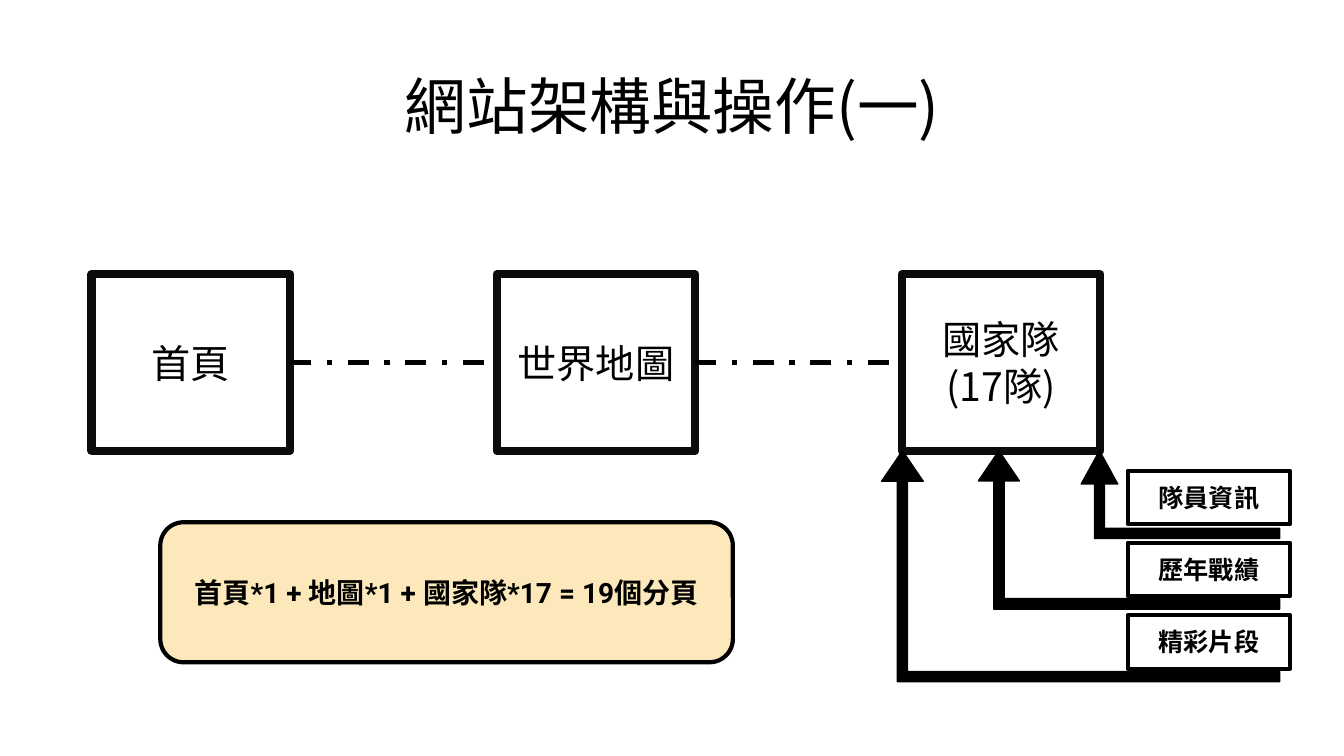
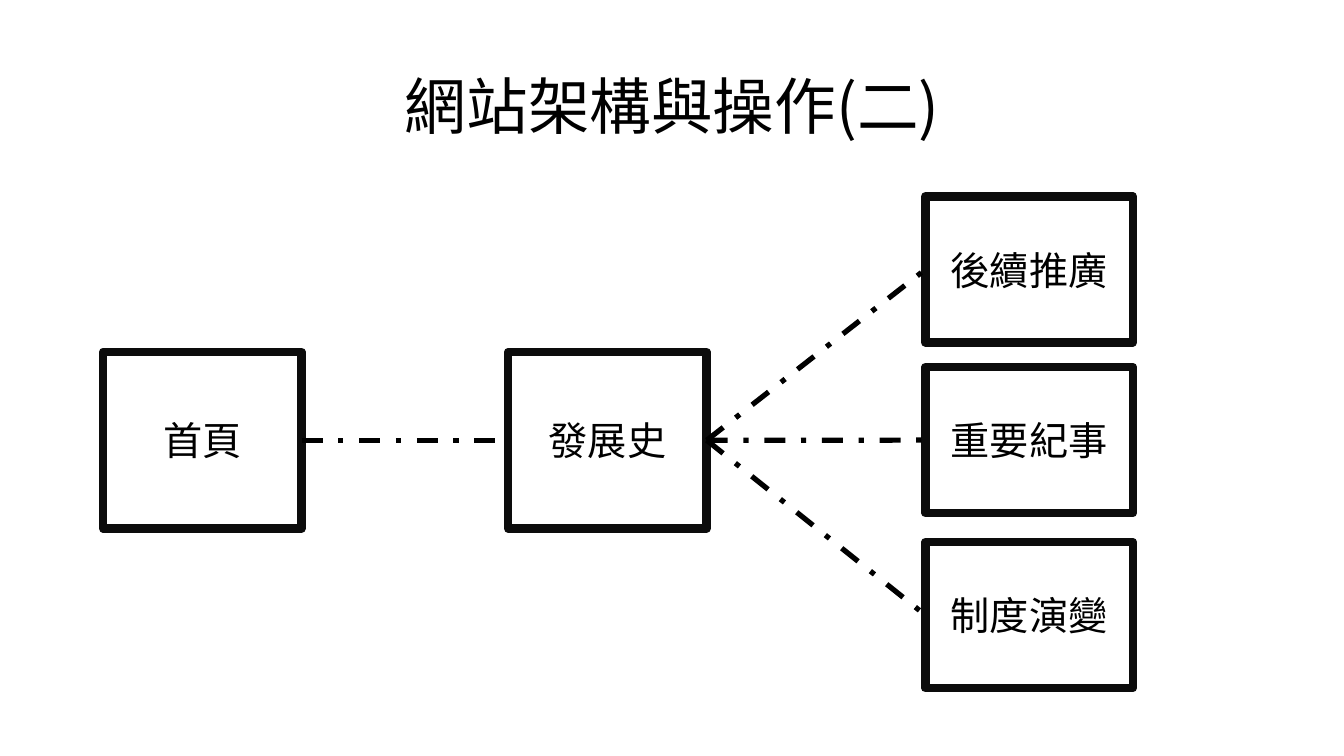
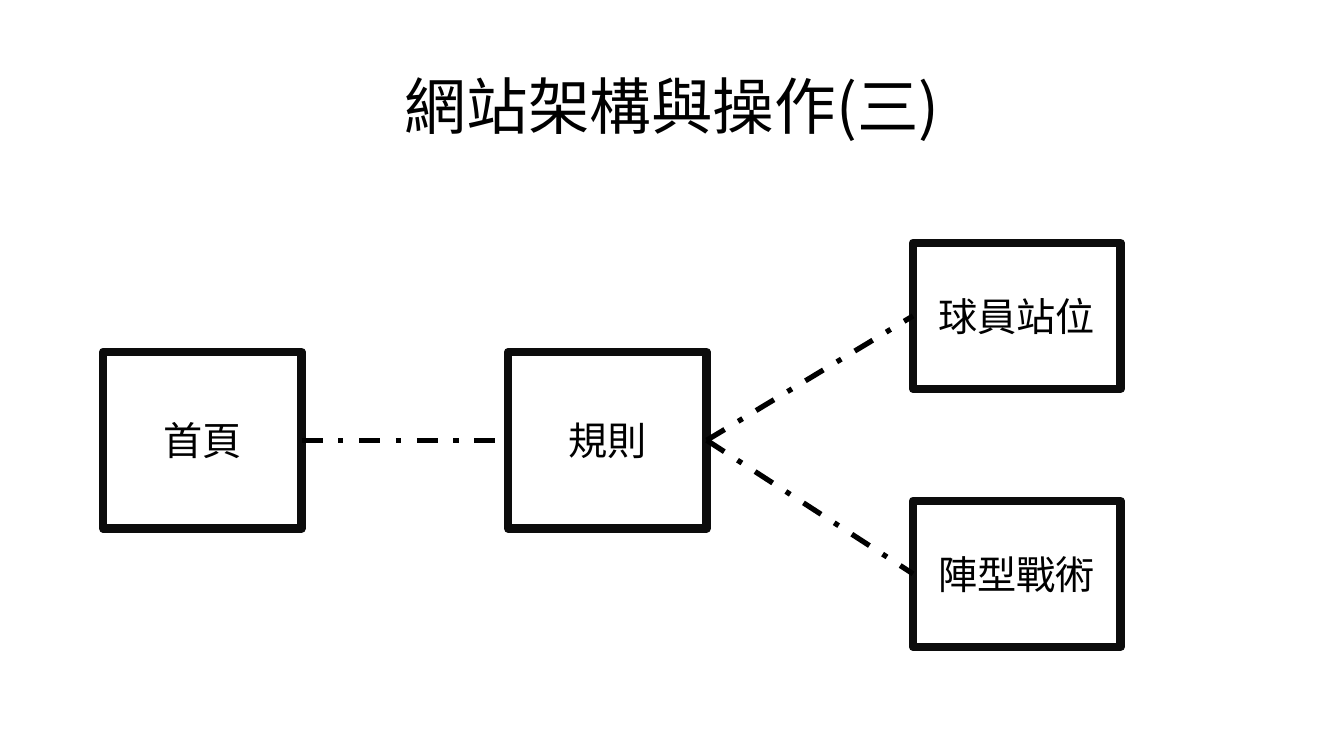
from dataclasses import dataclass

import lxml.etree
import pptx
import pptx.dml.color
import pptx.enum.dml
import pptx.enum.shapes
import pptx.enum.text
import pptx.oxml.ns
import pptx.shapes.autoshape
import pptx.slide
import pptx.text.text
import pptx.util

Cm = pptx.util.Cm
Pt = pptx.util.Pt
Kind = pptx.enum.shapes.MSO_SHAPE
Box = pptx.shapes.autoshape.Shape
Page = pptx.slide.Slide

# Shared look
HUES = {"ink": "000000", "frame": "0C0C0C", "sand": "FCE8BA"}
HAN = "Noto Sans CJK TC"
LATIN = "Roboto"
LEFT, RIGHT = 1, 3  # connection sites of a rectangle


@dataclass
class Style:
    wide: float
    high: float
    edge: float
    size: float
    bold: bool = False
    hue: str = "ink"
    fill: str = ""
    font: str = HAN
    kind: Kind = Kind.RECTANGLE


@dataclass
class Arrow:
    wide: float
    high: float
    bends: tuple[float, float, float]


@dataclass
class Branch:
    title: str
    hub: str
    left: float
    leaves: dict[str, float]  # label and top


MAIN = Style(5, 4.45, 6, 28, hue="frame")
LEAF = Style(5.23, 3.68, 6, 28, hue="frame")
TAG = Style(4.09, 1.35, 3, 18, bold=True)
NOTE = Style(14.43, 3.53, 3, 20, bold=True, fill="sand", font=LATIN,
             kind=Kind.ROUNDED_RECTANGLE)
STEP = 10.21  # from one main box to the next


def tint(name: str) -> pptx.dml.color.RGBColor:
    return pptx.dml.color.RGBColor.from_string(HUES[name])


def write(frame: pptx.text.text.TextFrame, text: str, size: float,
          bold: bool = False, font: str = HAN) -> None:
    """Fill a frame with centred lines, one paragraph each."""
    frame.word_wrap = True
    frame.vertical_anchor = pptx.enum.text.MSO_ANCHOR.MIDDLE
    for i, line in enumerate(text.split("\n")):
        para = frame.add_paragraph() if i else frame.paragraphs[0]
        para.alignment = pptx.enum.text.PP_ALIGN.CENTER
        run = para.add_run()
        run.text = line
        run.font.size = Pt(size)
        run.font.bold = bold
        run.font.color.rgb = tint("ink")
        run.font.name = font
        east = lxml.etree.SubElement(run.font._element, pptx.oxml.ns.qn("a:ea"))
        east.set("typeface", HAN)


def shape(page: Page, kind: Kind, left: float, top: float, wide: float,
          high: float, edge: float, hue: str, fill: str) -> Box:
    item = page.shapes.add_shape(kind, Cm(left), Cm(top), Cm(wide), Cm(high))
    item.shadow.inherit = False
    item.line.color.rgb = tint(hue)
    item.line.width = Pt(edge)
    if fill:
        item.fill.solid()
        item.fill.fore_color.rgb = tint(fill)
    else:
        item.fill.background()
    return item


def box(page: Page, style: Style, text: str, left: float, top: float) -> Box:
    item = shape(page, style.kind, left, top, style.wide, style.high,
                 style.edge, style.hue, style.fill)
    write(item.text_frame, text, style.size, style.bold, style.font)
    return item


def link(page: Page, start: Box, end: Box) -> None:
    """Join two boxes with a dash-dot line, side to side."""
    line = page.shapes.add_connector(
        pptx.enum.shapes.MSO_CONNECTOR.STRAIGHT, 0, 0, 0, 0)
    line.begin_connect(start, RIGHT)
    line.end_connect(end, LEFT)
    line.line.color.rgb = tint("ink")
    line.line.width = Pt(3.75)
    line.line.dash_style = pptx.enum.dml.MSO_LINE.DASH_DOT
    lxml.etree.SubElement(line._element.spPr, pptx.oxml.ns.qn("a:effectLst"))


def chain(page: Page, names: list[str], left: float, top: float) -> list[Box]:
    """Draw linked main boxes in a row."""
    row = [box(page, MAIN, name, left + i * STEP, top)
           for i, name in enumerate(names)]
    for start, end in zip(row, row[1:]):
        link(page, start, end)
    return row


def bend(page: Page, arrow: Arrow, right: float, top: float) -> None:
    item = shape(page, Kind.BENT_UP_ARROW, right - arrow.wide, top,
                 arrow.wide, arrow.high, 1, "ink", "ink")
    for i, value in enumerate(arrow.bends):
        item.adjustments[i] = value
    item._element.spPr.get_or_add_xfrm().set("flipH", "1")


def start(deck: pptx.presentation.Presentation, text: str) -> Page:
    """Add a slide with its title."""
    page = deck.slides.add_slide(deck.slide_layouts[5])
    title = page.shapes.title
    title.left, title.top = Cm(2.34), Cm(0.91)
    title.width, title.height = Cm(29.21), Cm(3.68)
    title.text_frame.auto_size = pptx.enum.text.MSO_AUTO_SIZE.NONE
    write(title.text_frame, text, 44)
    title.text_frame.paragraphs[0].line_spacing = 0.9
    return page


def teams(deck: pptx.presentation.Presentation) -> None:
    page = start(deck, "網站架構與操作(一)")
    top = 6.91
    chain(page, ["首頁", "世界地圖", "國家隊\n(17隊)"], 2.31, top)

    # Arrows up to the last box
    for arrow in (Arrow(5, 2.21, (0.115, 0.208, 0.379)),
                  Arrow(10.03, 5.82, (0.044, 0.09, 0.132)),
                  Arrow(7.59, 3.99, (0.066, 0.129, 0.19))):
        bend(page, arrow, 32.25, top + MAIN.high)

    # Tags and page count
    for i, name in enumerate(("隊員資訊", "歷年戰績", "精彩片段")):
        box(page, TAG, name, 28.42, 11.86 + i * 1.82)
    box(page, NOTE, "首頁*1 + 地圖*1 + 國家隊*17 = 19個分頁", 4.04, 13.16)


def tree(deck: pptx.presentation.Presentation, plan: Branch) -> None:
    page = start(deck, plan.title)
    hub = chain(page, ["首頁", plan.hub], 2.6, 8.87)[-1]
    for name, top in plan.leaves.items():
        link(page, hub, box(page, LEAF, name, plan.left, top))


def main() -> None:
    deck = pptx.Presentation()
    deck.slide_width, deck.slide_height = Cm(33.87), Cm(19.05)
    teams(deck)
    tree(deck, Branch("網站架構與操作(二)", "發展史", 23.32,
                      {"後續推廣": 4.95, "重要紀事": 9.25, "制度演變": 13.66}))
    tree(deck, Branch("網站架構與操作(三)", "規則", 23.01,
                      {"球員站位": 6.12, "陣型戰術": 12.62}))
    deck.save("out.pptx")


if __name__ == "__main__":
    main()
